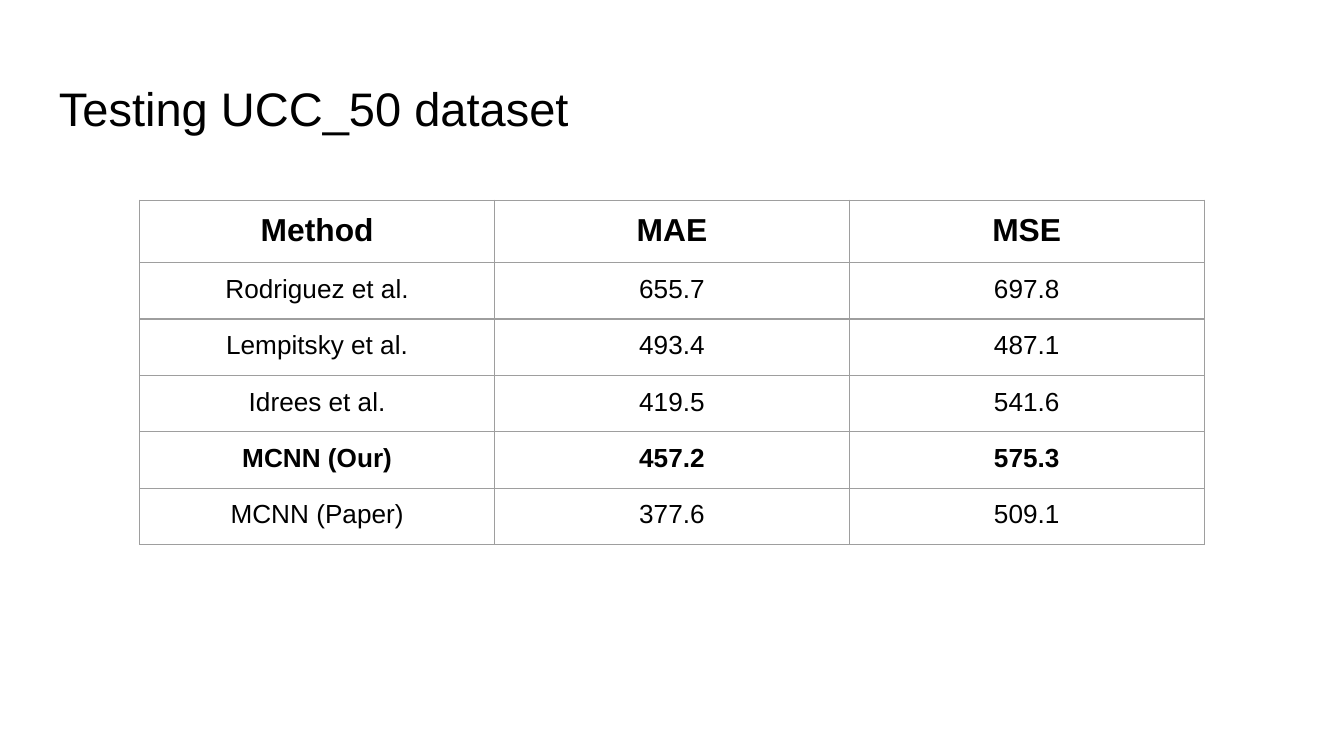
import pptx
import pptx.dml.color
import pptx.enum.text
import pptx.oxml
import pptx.oxml.ns
import pptx.util
from pptx.util import Inches

BLACK = pptx.dml.color.RGBColor(0x00, 0x00, 0x00)
WHITE = pptx.dml.color.RGBColor(0xFF, 0xFF, 0xFF)
GRID_GREY = pptx.dml.color.RGBColor(0x9E, 0x9E, 0x9E)
FONT = "Arial"
RESULTS = [
    ("Method", "MAE", "MSE"),
    ("Rodriguez et al.", "655.7", "697.8"),
    ("Lempitsky et al.", "493.4", "487.1"),
    ("Idrees et al.", "419.5", "541.6"),
    ("MCNN (Our)", "457.2", "575.3"),
    ("MCNN (Paper)", "377.6", "509.1"),
]
OUR_METHOD = "MCNN (Our)"


def write_text(frame, text, size, bold=False, align=pptx.enum.text.PP_ALIGN.LEFT):
    """Write one formatted paragraph into a text frame."""
    paragraph = frame.paragraphs[0]
    paragraph.alignment = align
    run = paragraph.add_run()
    run.text = text
    run.font.name = FONT
    run.font.size = pptx.util.Pt(size)
    run.font.bold = bold
    run.font.color.rgb = BLACK


def set_margins(target, across, down):
    """Give a cell or text frame its side and vertical insets."""
    target.margin_left = target.margin_right = across
    target.margin_top = target.margin_bottom = down


def outline_cell(cell):
    """Draw a thin grey border on every side of a cell."""
    properties = cell._tc.get_or_add_tcPr()
    for side in ("lnL", "lnR", "lnT", "lnB"):
        properties.append(pptx.oxml.parse_xml(
            f'<a:{side} {pptx.oxml.ns.nsdecls("a")} w="{pptx.util.Pt(0.75)}">'
            f'<a:solidFill><a:srgbClr val="{GRID_GREY}"/></a:solidFill></a:{side}>'))


def add_title(slide, left, top, width, height):
    """Place the slide title in the given box."""
    title = slide.shapes.add_textbox(left, top, width, height).text_frame
    title.word_wrap = True
    set_margins(title, Inches(0.1), Inches(0.1))
    write_text(title, "Testing UCC_50 dataset", size=25.2)


def add_results(slide, left, top, width, height):
    """Place the table of test errors in the given box."""
    results = slide.shapes.add_table(
        len(RESULTS), len(RESULTS[0]), left, top, width, height).table
    results.first_row = False
    results.horz_banding = False
    for row, entries in enumerate(RESULTS):
        is_header = row == 0
        for column, entry in enumerate(entries):
            cell = results.cell(row, column)
            set_margins(cell, Inches(0.1), Inches(0.09))
            outline_cell(cell)
            cell.fill.background()
            write_text(cell.text_frame, entry, size=17 if is_header else 14,
                       bold=is_header or entries[0] == OUR_METHOD,
                       align=pptx.enum.text.PP_ALIGN.CENTER)


def main():
    """Build and save the slide."""
    deck = pptx.Presentation()
    deck.slide_width = Inches(10)
    deck.slide_height = deck.slide_width * 9 // 16
    slide = deck.slides.add_slide(deck.slide_layouts[6])
    slide.background.fill.solid()
    slide.background.fill.fore_color.rgb = WHITE
    add_title(slide, Inches(0.34), Inches(0.49), Inches(9.32), Inches(0.63))
    add_results(slide, Inches(1.04), Inches(1.49), Inches(7.92), Inches(2.52))
    deck.save("out.pptx")


if __name__ == "__main__":
    main()
